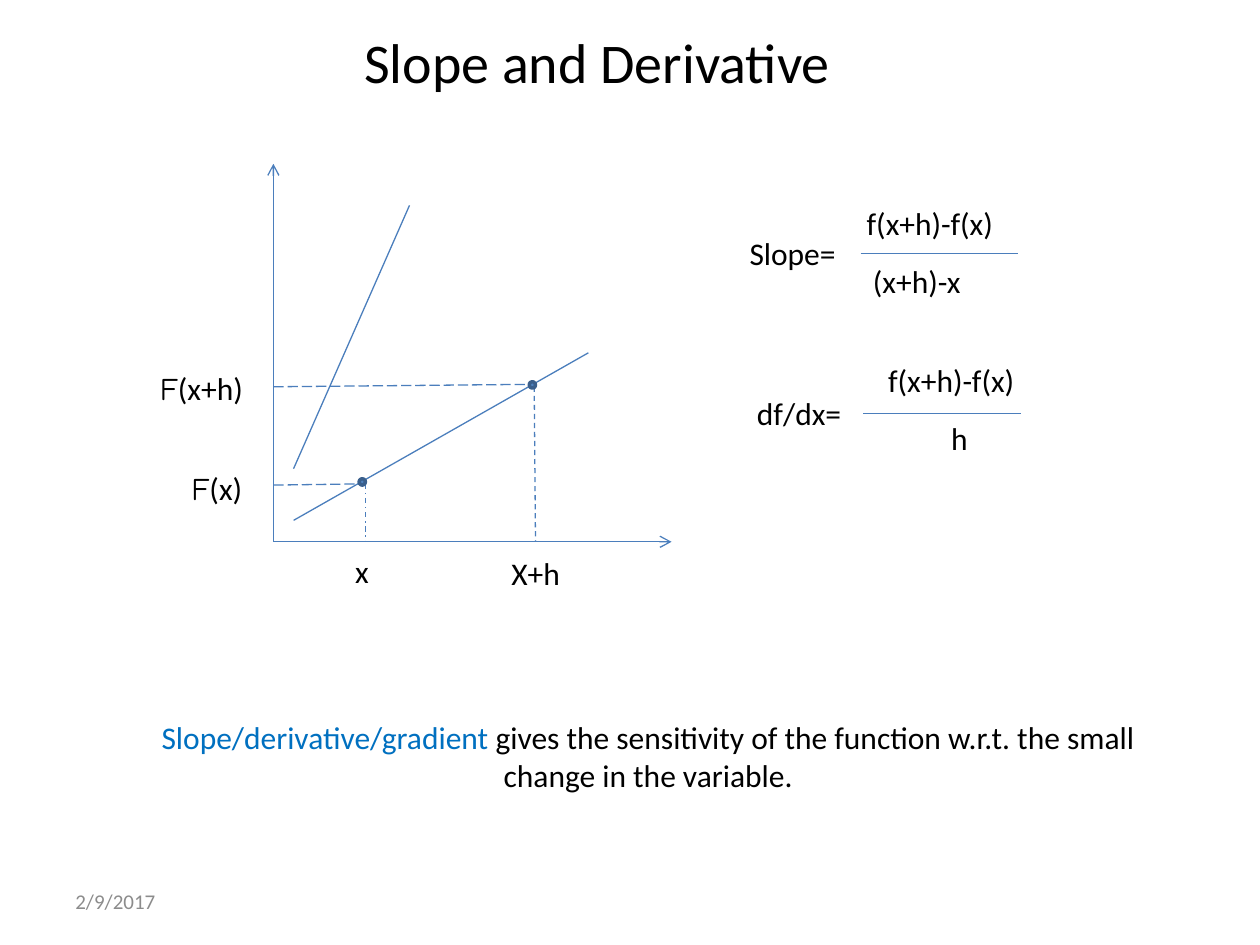
from lxml.etree import SubElement
from pptx import Presentation
from pptx.dml.color import RGBColor
from pptx.enum.dml import MSO_LINE as Dash
from pptx.enum.shapes import MSO_CONNECTOR, MSO_SHAPE
from pptx.enum.text import MSO_ANCHOR as Anchor, PP_ALIGN as Align
from pptx.oxml.ns import qn
from pptx.util import Inches, Pt


def color(hex_value):
    return RGBColor.from_string(hex_value)


def write(shape, box, runs, size=18, align=Align.LEFT, anchor=Anchor.TOP, wrap=True):
    """Place a text shape and fill it with (text, font, colour) runs."""
    shape.left, shape.top, shape.width, shape.height = map(Inches, box)
    frame = shape.text_frame
    frame.word_wrap = wrap
    frame.vertical_anchor = anchor
    paragraph = frame.paragraphs[0]
    paragraph.alignment = align
    for text, font_name, hex_value in runs:
        run = paragraph.add_run()
        run.text = text
        for name, value in {"name": font_name, "size": Pt(size)}.items():
            setattr(run.font, name, value)
        run.font.color.rgb = color(hex_value)


BODY, HAND = "Calibri", "Comic Neue"
BLACK, GRAY, HIGHLIGHT = "000000", "8C8C8C", "0070C0"
LINE, DOT_FILL, DOT_LINE = "4B7EBC", "4F81BD", "3A5F8C"

prs = Presentation()
prs.slide_width, prs.slide_height = Inches(10), Inches(7.5)
slide = prs.slides.add_slide(prs.slide_layouts[5])
shapes = slide.shapes

write(shapes.title, (2.79, 0.17, 4.71, 0.64),
      [("Slope and Derivative", BODY, BLACK)], size=32)

# Axes, the two functions, guide lines and fraction bars
origin_x, origin_y = 2.17, 4.3
lines = [
    ((origin_x, origin_y), (5.33, origin_y), None, True),
    ((origin_x, origin_y), (origin_x, 1.3), None, True),
    ((2.33, 3.72), (3.25, 1.63), None, False),
    ((2.33, 4.13), (4.67, 2.8), None, False),
    ((2.9, 3.84), (2.9, origin_y), Dash.DASH_DOT, False),
    ((4.24, 3.07), (4.25, origin_y), Dash.DASH, False),
    ((origin_x, 3.85), (2.9, 3.84), Dash.LONG_DASH, False),
    ((origin_x, 3.07), (4.25, 3.05), Dash.LONG_DASH, False),
    ((6.83, 2.01), (8.08, 2.01), None, False),
    ((6.85, 3.28), (8.1, 3.28), None, False),
]
for start, end, dash, has_arrow in lines:
    connector = shapes.add_connector(
        MSO_CONNECTOR.STRAIGHT, *map(Inches, start + end))
    connector.line.color.rgb = color(LINE)
    connector.line.width = Pt(0.75)
    if dash:
        connector.line.dash_style = dash
    if has_arrow:
        SubElement(connector.line._get_or_add_ln(), qn("a:tailEnd"), type="arrow")
    SubElement(connector._element.spPr, qn("a:effectLst"))

# Points on the lower function
for left, top in [(2.85, 3.8), (4.2, 3.03)]:
    dot = shapes.add_shape(MSO_SHAPE.FLOWCHART_CONNECTOR, Inches(left), Inches(top),
                           Inches(0.05), Inches(0.05))
    dot.shadow.inherit = False
    dot.fill.solid()
    dot.fill.fore_color.rgb = color(DOT_FILL)
    dot.line.color.rgb = color(DOT_LINE)
    dot.line.width = Pt(2)

# Axis labels and formula parts
labels = [
    ((2.72, 4.33, 0.32, 0.4), [("x", BODY, BLACK)]),
    ((3.96, 4.35, 0.74, 0.4), [("X+h", BODY, BLACK)]),
    ((1.42, 3.67, 0.75, 0.4), [("F", HAND, BLACK), ("(x)", BODY, BLACK)]),
    ((1.17, 2.88, 1, 0.4), [("F", HAND, BLACK), ("(x+h)", BODY, BLACK)]),
    ((5.85, 1.81, 0.95, 0.4), [("Slope=", BODY, BLACK)]),
    ((6.78, 1.57, 1.72, 0.4), [("f(x+h)-f(x)", BODY, BLACK)]),
    ((6.83, 2.03, 1.25, 0.4), [("(x+h)-x", BODY, BLACK)]),
    ((5.91, 3.08, 0.94, 0.4), [("df/dx=", BODY, BLACK)]),
    ((6.95, 2.82, 1.72, 0.4), [("f(x+h)-f(x)", BODY, BLACK)]),
    ((7.45, 3.28, 0.8, 0.4), [("h", BODY, BLACK)]),
]
for box, runs in labels:
    write(shapes.add_textbox(0, 0, 0, 0), box, runs, wrap=False)

write(shapes.add_textbox(0, 0, 0, 0), (0.98, 5.65, 8.33, 0.71), [
    ("Slope/derivative/gradient", BODY, HIGHLIGHT),
    (" gives the sensitivity of the function w.r.t. the small change in the variable.",
     BODY, BLACK),
], align=Align.CENTER)
write(shapes.add_textbox(0, 0, 0, 0), (0.5, 6.95, 2.33, 0.4),
      [("2/9/2017", BODY, GRAY)], size=12, anchor=Anchor.MIDDLE)

prs.save("out.pptx")
